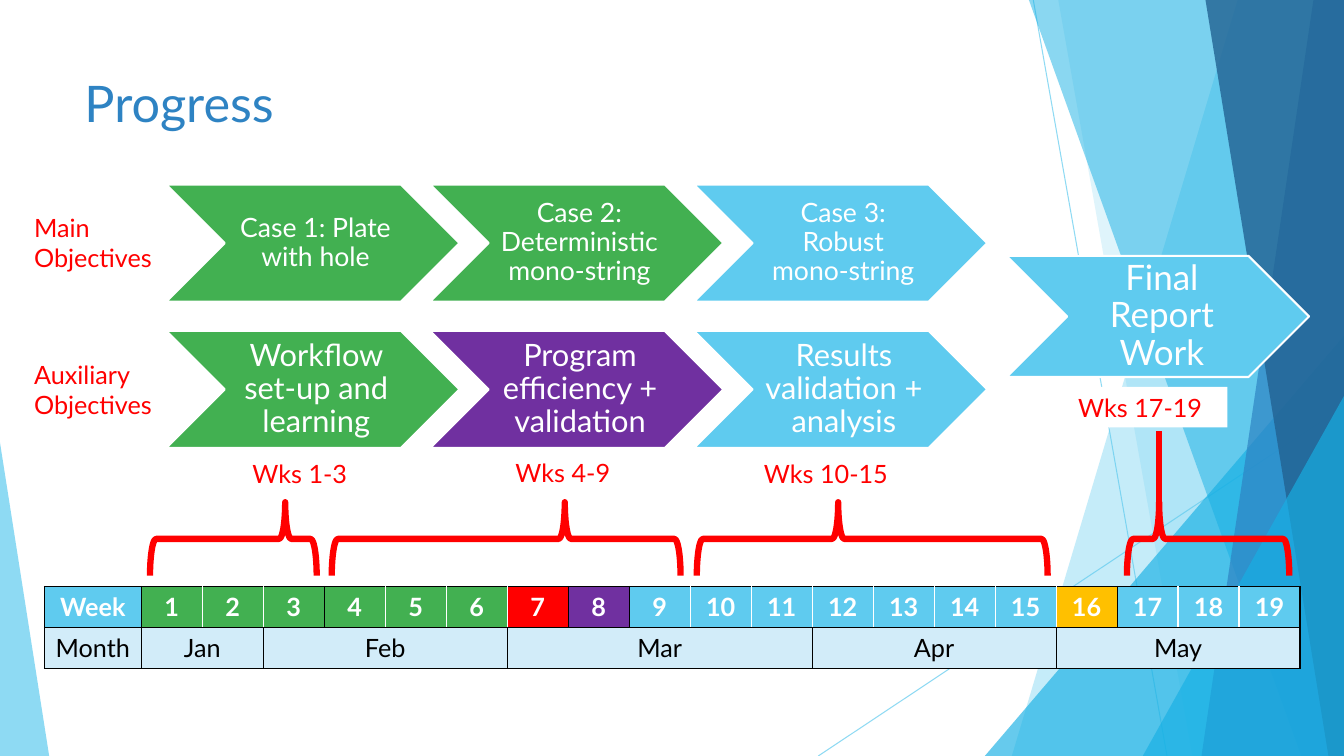
from dataclasses import dataclass

import pptx
import pptx.util
import pptx.dml.color
import pptx.enum.shapes
import pptx.enum.text
import pptx.oxml.ns
from lxml import etree

Cm, Pt = pptx.util.Cm, pptx.util.Pt
RGB = pptx.dml.color.RGBColor
KIND = pptx.enum.shapes.MSO_SHAPE
ALIGN = pptx.enum.text.PP_ALIGN
ANCHOR = pptx.enum.text.MSO_ANCHOR
qn = pptx.oxml.ns.qn

WHITE = RGB(0xFF, 0xFF, 0xFF)
BLACK = RGB(0x00, 0x00, 0x00)
RED = RGB(0xFF, 0x00, 0x00)
GREEN = RGB(0x42, 0xB0, 0x51)
PURPLE = RGB(0x70, 0x30, 0xA0)
AMBER = RGB(0xFF, 0xC0, 0x00)
SKY = RGB(0x5F, 0xCB, 0xEF)
PALE = RGB(0xD2, 0xEC, 0xF9)
CYAN = RGB(0x17, 0xB0, 0xE4)
BLUE = RGB(0x2E, 0x83, 0xC3)
NAVY = RGB(0x22, 0x62, 0x92)
FONT = "Lato"
WIDE, HIGH = 33.87, 19.05


@dataclass
class Ray:
    start: tuple[float, float]
    end: tuple[float, float]
    color: RGB = SKY
    width: float = 0.75
    alpha: int = 100


@dataclass
class Band:
    top: float
    base: float
    color: RGB
    alpha: int


@dataclass
class Wedge:
    left: float
    top: float
    width: float
    tip: float
    color: RGB
    alpha: int


@dataclass
class Step:
    text: str
    left: float
    top: float
    width: float
    height: float
    color: RGB
    size: int


@dataclass
class Label:
    text: str
    left: float
    top: float
    width: float
    height: float
    align: ALIGN = ALIGN.CENTER
    fill: RGB | None = WHITE
    size: int = 18
    color: RGB = RED


@dataclass
class Brace:
    start: float
    end: float
    tip: float


@dataclass
class Month:
    name: str
    first: int
    last: int


BACK = [
    Ray((26.04, 0), (29.41, HIGH), alpha=70),
    Ray((WIDE, 10.24), (20.62, HIGH), alpha=70),
    Band(31.19, 25.5, SKY, 36),
    Band(26.67, 30.05, SKY, 20),
    Wedge(24.82, 8.46, 9.05, 1, CYAN, 66),
    Band(25.93, 32.79, CYAN, 50),
    Band(33.1, 30.28, BLUE, 70),
    Band(30.38, 33.48, NAVY, 80),
    Wedge(28.8, 9.98, 5.07, 1, CYAN, 66),
    Wedge(0, 11.15, 1.24, 0, SKY, 70),
]
TRACKS = [
    (19, [("Case 1: Plate with hole", GREEN),
          ("Case 2: Deterministic mono-string", GREEN),
          ("Case 3: Robust mono-string", SKY)]),
    (22, [("Workflow set-up and learning", GREEN),
          ("Program efficiency + validation", PURPLE),
          ("Results validation + analysis", SKY)]),
]
STEPS = [
    Step(text, 4.19 + 6.65 * col, 4.65 + 3.69 * row, 7.39, 2.95, color, size)
    for row, (size, track) in enumerate(TRACKS)
    for col, (text, color) in enumerate(track)
] + [Step("Final Report Work", 25.37, 6.45, 7.62, 3.05, SKY, 25)]
LABELS = [
    Label("Progress", 1.88, 1.7, 23.88, 3.66, ALIGN.LEFT, None, 36, BLUE),
    Label("Main Objectives", 0.61, 5.23, 4.39, 1.8, ALIGN.LEFT, None),
    Label("Auxiliary Objectives", 0.61, 8.92, 3.58, 1.8, ALIGN.LEFT),
    Label("Wks 1-3", 5.36, 11.43, 4.39, 1.02),
    Label("Wks 4-9", 11.99, 11.4, 4.39, 1.02),
    Label("Wks 10-15", 18.62, 11.43, 4.39, 1.02),
    Label("Wks 17-19", 26.54, 9.75, 4.39, 1.02),
]
BRACES = [
    Brace(3.78, 7.98, 0.189),
    Brace(8.36, 17.15, 0.332),
    Brace(17.56, 26.4, 0.597),
    Brace(28.4, 32.49, 0.802),
]
MONTHS = [Month("Month", 0, 0), Month("Jan", 1, 2), Month("Feb", 3, 6),
          Month("Mar", 7, 11), Month("Apr", 12, 15), Month("May", 16, 19)]
WEEKS = 19
TINTS = {week: GREEN for week in range(1, 7)} | {7: RED, 8: PURPLE, 16: AMBER}
DARK = {-1, 0, 3, 7, 8, 16, 19}


def fade(shape, alpha: int) -> None:
    if alpha < 100:
        for tint in shape.element.iter(qn("a:srgbClr")):
            etree.SubElement(tint, qn("a:alpha"), val=str(alpha * 1000))


def paint(shape, color: RGB, alpha: int = 100) -> None:
    shape.shadow.inherit = False
    shape.fill.solid()
    shape.fill.fore_color.rgb = color
    shape.line.fill.background()
    fade(shape, alpha)


def style(para, text: str, size: int, color: RGB, align: ALIGN, bold: bool = False) -> None:
    para.text = text
    para.alignment = align
    para.font.name, para.font.size, para.font.bold = FONT, Pt(size), bold
    para.font.color.rgb = color


def add_ray(shapes, ray: Ray) -> None:
    line = shapes.add_connector(pptx.enum.shapes.MSO_CONNECTOR.STRAIGHT,
                                *map(Cm, ray.start + ray.end))
    line.line.color.rgb = ray.color
    line.line.width = Pt(ray.width)
    etree.SubElement(line.element.spPr, qn("a:effectLst"))
    fade(line, ray.alpha)


def add_band(shapes, band: Band) -> None:
    path = shapes.build_freeform(Cm(band.top), 0)
    path.add_line_segments([(Cm(WIDE), 0), (Cm(WIDE), Cm(HIGH)), (Cm(band.base), Cm(HIGH))])
    paint(path.convert_to_shape(), band.color, band.alpha)


def add_wedge(shapes, wedge: Wedge) -> None:
    shape = shapes.add_shape(KIND.ISOSCELES_TRIANGLE, Cm(wedge.left), Cm(wedge.top),
                             Cm(wedge.width), Cm(HIGH - wedge.top))
    shape.adjustments[0] = wedge.tip
    paint(shape, wedge.color, wedge.alpha)


def add_label(shapes, label: Label):
    box = shapes.add_textbox(Cm(label.left), Cm(label.top), Cm(label.width), Cm(label.height))
    if label.fill is not None:
        box.fill.solid()
        box.fill.fore_color.rgb = label.fill
    box.text_frame.word_wrap = True
    style(box.text_frame.paragraphs[0], label.text, label.size, label.color, label.align)
    return box.text_frame


def add_step(shapes, step: Step) -> None:
    shape = shapes.add_shape(KIND.CHEVRON, Cm(step.left), Cm(step.top),
                             Cm(step.width), Cm(step.height))
    paint(shape, step.color)
    shape.line.color.rgb = WHITE
    shape.line.width = Pt(1.5)
    frame = add_label(shapes, Label(step.text, step.left + 0.2 * step.width, step.top,
                                    0.6 * step.width, step.height, fill=None,
                                    size=step.size, color=WHITE))
    frame.vertical_anchor = ANCHOR.MIDDLE
    frame.margin_left = Pt(step.size * 0.32)
    frame.margin_top = frame.margin_right = frame.margin_bottom = Cm(0.08)
    frame.paragraphs[0].line_spacing = 0.9


def add_brace(shapes, brace: Brace) -> None:
    depth, span = 1.85, brace.end - brace.start
    mid = (brace.start + brace.end) / 2
    shape = shapes.add_shape(KIND.LEFT_BRACE, Cm(mid - depth / 2), Cm(13.58 - span / 2),
                             Cm(depth), Cm(span))
    shape.rotation = 90
    shape.adjustments[0], shape.adjustments[1] = 0.083, brace.tip
    shape.shadow.inherit = False
    shape.fill.background()
    shape.line.color.rgb = RED
    shape.line.width = Pt(4.5)


def fill_cell(cell, text: str, fill: RGB, ink: RGB, left: RGB, right: RGB, bold: bool) -> None:
    style(cell.text_frame.paragraphs[0], text, 18, ink, ALIGN.CENTER, bold)
    props = cell._tc.get_or_add_tcPr()
    for side, color in zip("LRTB", (left, right, BLACK, BLACK)):
        edge = etree.SubElement(props, qn(f"a:ln{side}"), w=str(Pt(1)))
        solid = etree.SubElement(edge, qn("a:solidFill"))
        etree.SubElement(solid, qn("a:srgbClr"), val=str(color))
    cell.fill.solid()
    cell.fill.fore_color.rgb = fill


def add_weeks(shapes) -> None:
    total, head = 31.65, 2.44
    grid = shapes.add_table(2, WEEKS + 1, Cm(1.12), Cm(14.78), Cm(total), Cm(2.06)).table
    grid.first_row = grid.horz_banding = False
    for col, column in enumerate(grid.columns):
        column.width = Cm((total - head) / WEEKS if col else head)
        left, right = (BLACK if edge in DARK else WHITE for edge in (col - 1, col))
        fill_cell(grid.cell(0, col), str(col or "Week"), TINTS.get(col, SKY),
                  WHITE, left, right, True)
    for month in MONTHS:
        cell = grid.cell(1, month.first)
        if month.last > month.first:
            cell.merge(grid.cell(1, month.last))
        fill_cell(cell, month.name, PALE, BLACK, BLACK, BLACK, False)


def main() -> None:
    deck = pptx.Presentation()
    deck.slide_width, deck.slide_height = Cm(WIDE), Cm(HIGH)
    shapes = deck.slides.add_slide(deck.slide_layouts[6]).shapes
    draw = {Ray: add_ray, Band: add_band, Wedge: add_wedge,
            Step: add_step, Label: add_label, Brace: add_brace}
    for part in BACK + STEPS + LABELS + BRACES:
        draw[type(part)](shapes, part)
    add_ray(shapes, Ray((29.21, 12.65), (29.21, 10.87), RED, 4.5))
    add_weeks(shapes)
    deck.save("out.pptx")


if __name__ == "__main__":
    main()
